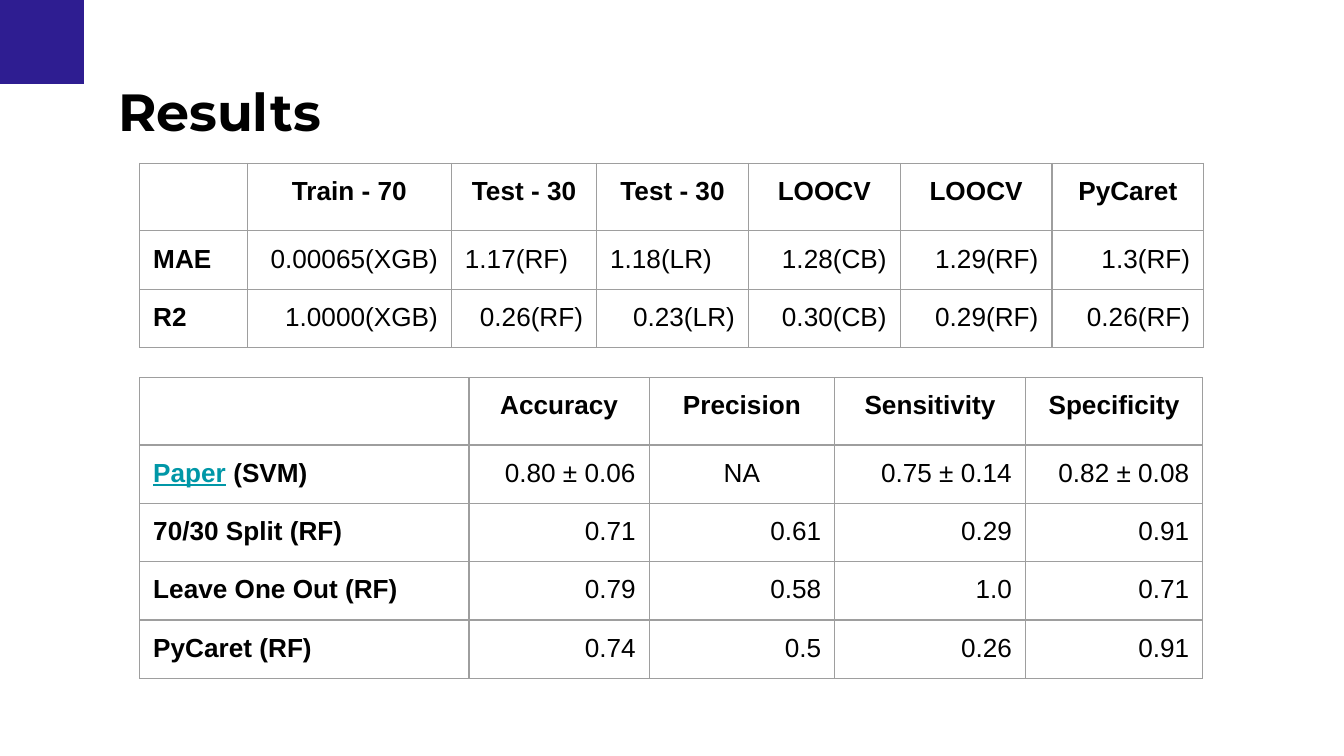
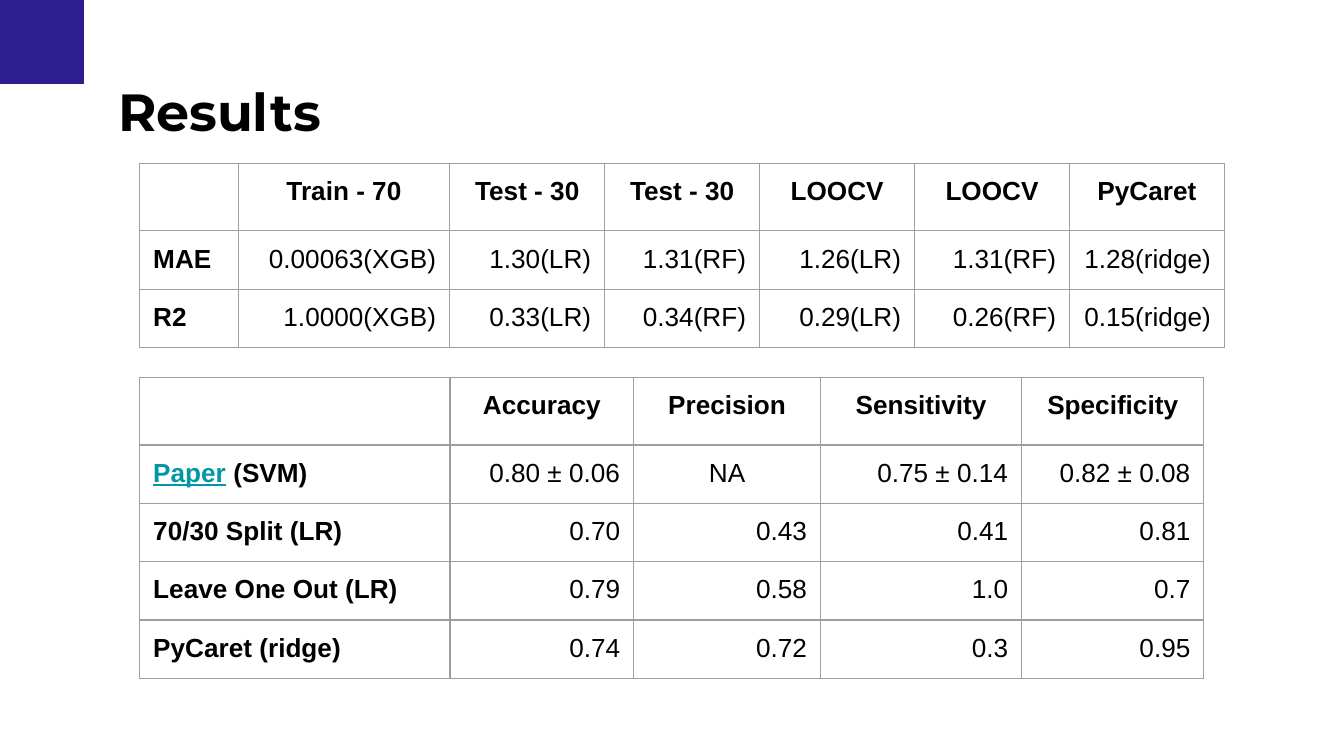
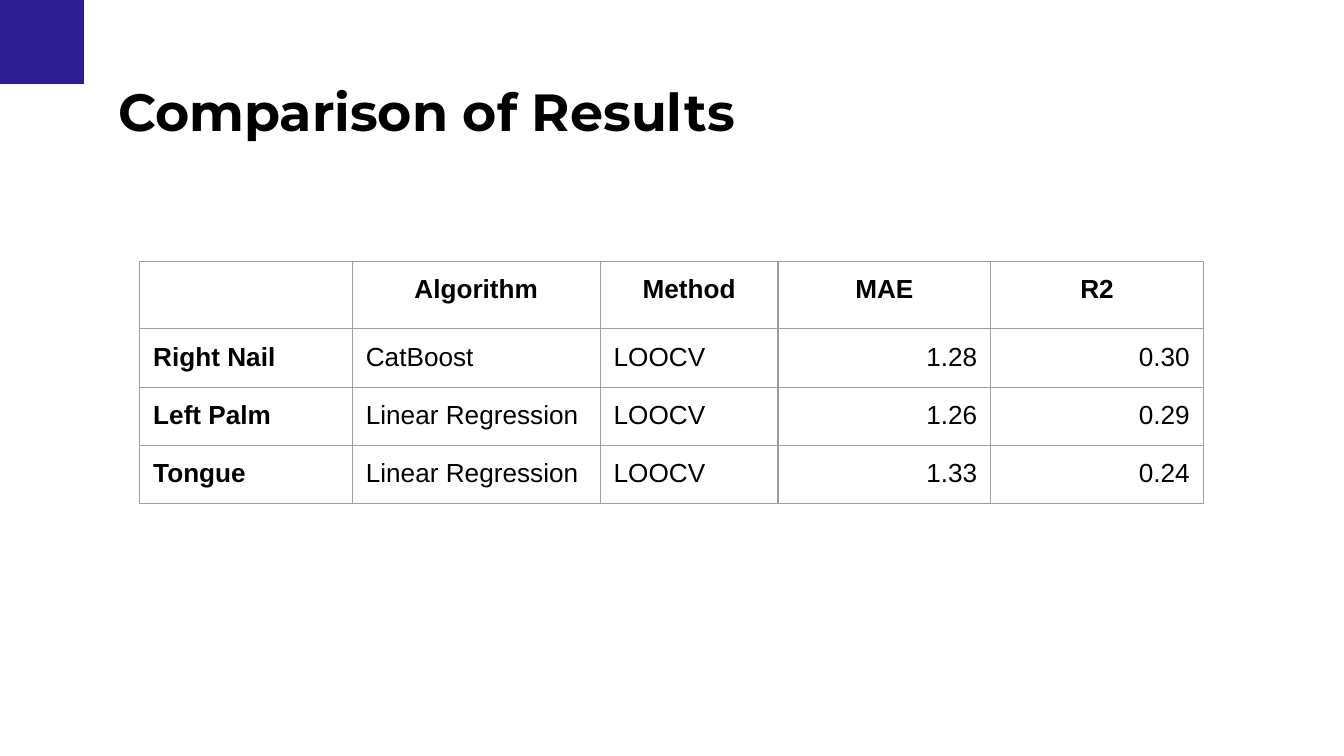
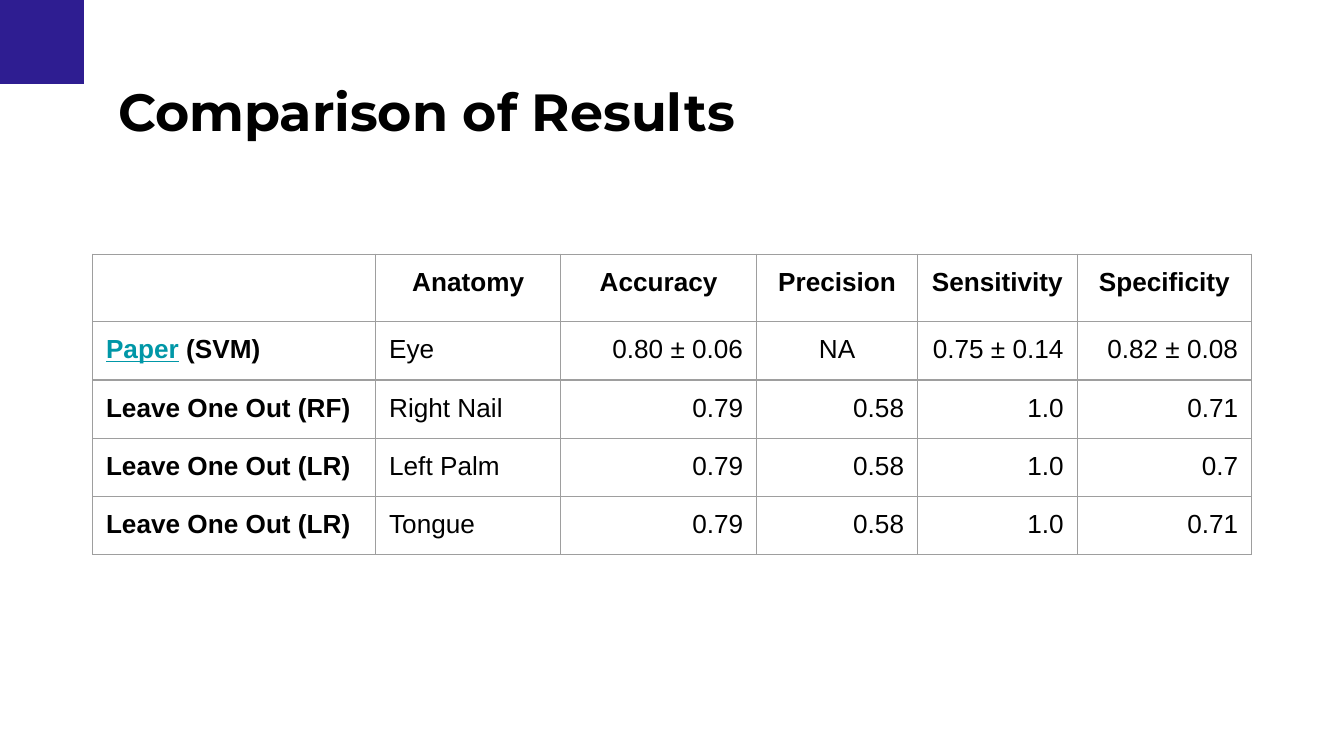
"""Build four slides of model result tables."""
from dataclasses import dataclass, field

from lxml import etree
from pptx import Presentation
from pptx import util as u
from pptx.dml import color
from pptx.enum import shapes, text
from pptx.oxml import ns

INDIGO, BLACK, TEAL, GRAY = "2E1D91", "000000", "0097A7", "9E9E9E"
TITLE_FONT, BODY_FONT = "Montserrat", "Arial"
INSET = 7.2
HEADER_HEIGHT, ROW_HEIGHT = 36.1, 31.1
LEFT = 74.9
SCORES = ("", "Accuracy", "Precision", "Sensitivity", "Specificity")
ERRORS = ("", "Train - 70", "Test - 30", "Test - 30", "LOOCV", "LOOCV", "PyCaret")
LINKED = "Paper"
PAPER = LINKED + " (SVM)"
ALIGNMENTS = {
    "l": text.PP_ALIGN.LEFT,
    "c": text.PP_ALIGN.CENTER,
    "r": text.PP_ALIGN.RIGHT,
}


@dataclass
class Grid:
    """A table: place, column widths, column alignments and rows of text."""

    left: float
    top: float
    widths: tuple[float, ...]
    columns: str
    rows: list[tuple[str, ...]]
    exceptions: dict[tuple[int, int], str] = field(default_factory=dict)


@dataclass
class Page:
    """A slide title with the tables below it."""

    title: str
    grids: list[Grid]


PAGES = [
    Page("Results", [
        Grid(LEFT, 202.3, (176.4, 96.5, 99.4, 102.2, 95), "lrrrr", [
            SCORES,
            (PAPER, "0.80 ± 0.06", "NA", "0.75 ± 0.14", "0.82 ± 0.08"),
            ("70/30 Split (RF)", "0.71", "0.61", "0.29", "0.91"),
            ("Leave One Out (RF)", "0.79", "0.58", "1.0", "0.71"),
            ("PyCaret (RF)", "0.74", "0.5", "0.26", "0.91"),
        ], {(1, 2): "c"}),
        Grid(LEFT, 87.6, (57.6, 109.4, 77.8) + (81.3,) * 4, "lrrrrrr", [
            ERRORS,
            ("MAE", "0.00065(XGB)", "1.17(RF)", "1.18(LR)", "1.28(CB)",
             "1.29(RF)", "1.3(RF)"),
            ("R2", "1.0000(XGB)", "0.26(RF)", "0.23(LR)", "0.30(CB)",
             "0.29(RF)", "0.26(RF)"),
        ], {(1, 2): "l", (1, 3): "l"}),
    ]),
    Page("Results", [
        Grid(LEFT, 202.3, (166.2, 98.4, 100.1, 107.8, 97.6), "lrrrr", [
            SCORES,
            (PAPER, "0.80 ± 0.06", "NA", "0.75 ± 0.14", "0.82 ± 0.08"),
            ("70/30 Split (LR)", "0.70", "0.43", "0.41", "0.81"),
            ("Leave One Out (LR)", "0.79", "0.58", "1.0", "0.7"),
            ("PyCaret (ridge)", "0.74", "0.72", "0.3", "0.95"),
        ], {(1, 2): "c"}),
        Grid(LEFT, 87.6, (52.7, 113.4) + (83,) * 5, "lrrrrrr", [
            ERRORS,
            ("MAE", "0.00063(XGB)", "1.30(LR)", "1.31(RF)", "1.26(LR)",
             "1.31(RF)", "1.28(ridge)"),
            ("R2", "1.0000(XGB)", "0.33(LR)", "0.34(RF)", "0.29(LR)",
             "0.26(RF)", "0.15(ridge)"),
        ]),
    ]),
    Page("Comparison of Results", [
        Grid(LEFT, 140.1, (113.9, 132.8, 95.3, 113.9, 113.9), "lllrr", [
            ("", "Algorithm", "Method", "MAE", "R2"),
            ("Right Nail", "CatBoost", "LOOCV", "1.28", "0.30"),
            ("Left Palm", "Linear Regression", "LOOCV", "1.26", "0.29"),
            ("Tongue", "Linear Regression", "LOOCV", "1.33", "0.24"),
        ]),
    ]),
    Page("Comparison of Results", [
        Grid(49.6, 136.2, (151.7, 99.1, 105, 86.2, 85.5, 93.5), "llrrrr", [
            ("", "Anatomy") + SCORES[1:],
            (PAPER, "Eye", "0.80 ± 0.06", "NA", "0.75 ± 0.14", "0.82 ± 0.08"),
            ("Leave One Out (RF)", "Right Nail", "0.79", "0.58", "1.0", "0.71"),
            ("Leave One Out (LR)", "Left Palm", "0.79", "0.58", "1.0", "0.7"),
            ("Leave One Out (LR)", "Tongue", "0.79", "0.58", "1.0", "0.71"),
        ], {(1, 3): "c"}),
    ]),
]


def rgb(value: str) -> color.RGBColor:
    """Turn a hex string into a colour."""
    return color.RGBColor.from_string(value)


def style_span(span, font: str, size: float, bold: bool, ink: str = BLACK) -> None:
    """Format one run of text."""
    span.font.name = font
    span.font.size = u.Pt(size)
    span.font.bold = bold
    span.font.color.rgb = rgb(ink)


def set_insets(holder) -> None:
    """Give a text frame or a cell the shared margins."""
    for side in ("left", "top", "right", "bottom"):
        setattr(holder, f"margin_{side}", u.Pt(INSET))


def add_corner(page) -> None:
    """Draw the square in the top left corner."""
    corner = page.shapes.add_shape(
        shapes.MSO_SHAPE.RECTANGLE, 0, 0, u.Pt(45), u.Pt(45))
    corner.shadow.inherit = False
    corner.fill.solid()
    corner.fill.fore_color.rgb = rgb(INDIGO)
    corner.line.fill.background()


def add_title(page, title: str) -> None:
    """Write the slide title."""
    box = page.shapes.add_textbox(u.Pt(56.2), u.Pt(35.2), u.Pt(607.6), u.Pt(48.5))
    frame = box.text_frame
    frame.word_wrap = True
    set_insets(frame)
    frame.text = title
    style_span(frame.paragraphs[0].runs[0], TITLE_FONT, 28, True)


def add_borders(cell) -> None:
    """Line all four sides of a cell."""
    properties = cell._tc.get_or_add_tcPr()
    for side in ("lnL", "lnR", "lnT", "lnB"):
        line = etree.SubElement(properties, ns.qn(f"a:{side}"), w=str(u.Pt(0.75)))
        fill = etree.SubElement(line, ns.qn("a:solidFill"))
        etree.SubElement(fill, ns.qn("a:srgbClr"), val=GRAY)


def write_cell(cell, words: str, bold: bool, alignment: str) -> None:
    """Write a cell, underlining the leading word that reads as a link."""
    para = cell.text_frame.paragraphs[0]
    para.alignment = ALIGNMENTS[alignment]
    if words.startswith(LINKED):
        link = para.add_run()
        link.text = LINKED
        style_span(link, BODY_FONT, 14, bold, TEAL)
        link.font.underline = True
        words = words.removeprefix(LINKED)
    span = para.add_run()
    span.text = words
    style_span(span, BODY_FONT, 14, bold)


def add_grid(page, grid: Grid) -> None:
    """Draw one table."""
    heights = [HEADER_HEIGHT] + [ROW_HEIGHT] * (len(grid.rows) - 1)
    table = page.shapes.add_table(
        len(heights), len(grid.widths), u.Pt(grid.left), u.Pt(grid.top),
        u.Pt(sum(grid.widths)), u.Pt(sum(heights))).table
    table.first_row = table.horz_banding = False
    for column, width in zip(table.columns, grid.widths):
        column.width = u.Pt(width)
    for row, height in zip(table.rows, heights):
        row.height = u.Pt(height)
    for i, row in enumerate(grid.rows):
        for j, words in enumerate(row):
            cell = table.cell(i, j)
            set_insets(cell)
            add_borders(cell)
            cell.fill.background()
            usual = "c" if i == 0 else grid.columns[j]
            if words:
                write_cell(cell, words, i == 0 or j == 0,
                           grid.exceptions.get((i, j), usual))


def main() -> None:
    """Build and save the deck."""
    deck = Presentation()
    deck.slide_width, deck.slide_height = u.Pt(720), u.Pt(405)
    for content in PAGES:
        page = deck.slides.add_slide(deck.slide_layouts[6])
        add_corner(page)
        add_title(page, content.title)
        for grid in content.grids:
            add_grid(page, grid)
    deck.save("out.pptx")


if __name__ == "__main__":
    main()
